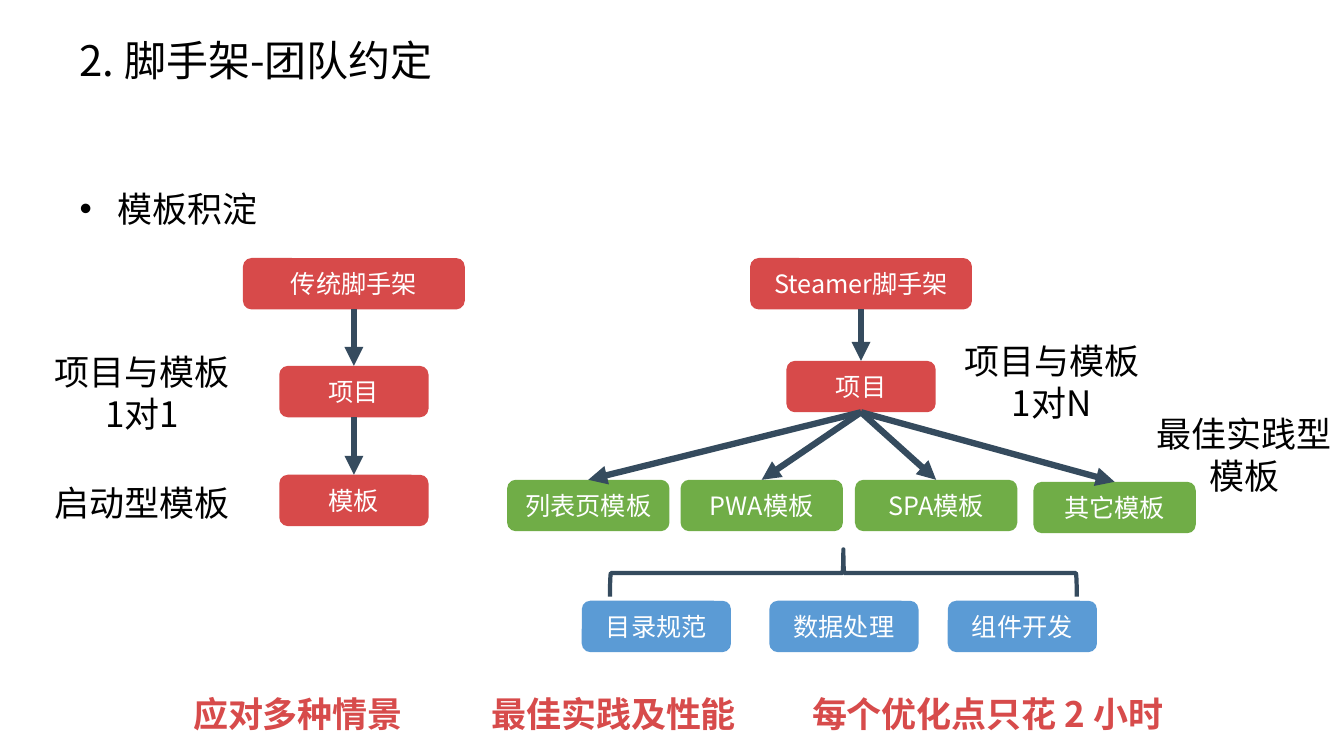
from typing import NamedTuple

from lxml.etree import SubElement
from pptx import Presentation
from pptx.dml.color import RGBColor
from pptx.enum.shapes import MSO_CONNECTOR as Conn, MSO_SHAPE as Geo
from pptx.enum.text import MSO_ANCHOR as Anchor, MSO_AUTO_SIZE as Fit, PP_ALIGN as Align
from pptx.oxml.ns import qn
from pptx.shapes.autoshape import Shape
from pptx.slide import Slide
from pptx.text.text import TextFrame
from pptx.util import Emu, Pt

FONT = "Noto Sans CJK SC"
RED, GREEN, BLUE = "D74A4A", "70AD47", "5B9BD5"
NAVY, BLACK, WHITE, ACCENT = "354B5E", "000000", "FFFFFF", "D74B4B"
BOX_H = 51


class Box(NamedTuple):
    key: str
    text: str
    left: int
    top: int
    width: int
    fill: str


class Link(NamedTuple):
    start: str
    end: str


class Label(NamedTuple):
    text: str
    left: int
    top: int
    width: int
    height: int
    color: str = BLACK
    bold: bool = False


BOXES = [
    Box("old", "传统脚手架", 241, 256, 220, RED),
    Box("old project", "项目", 277, 363, 148, RED),
    Box("old template", "模板", 277, 471, 148, RED),
    Box("new", "Steamer脚手架", 744, 256, 220, RED),
    Box("new project", "项目", 780, 358, 148, RED),
    Box("list", "列表页模板", 503, 476, 161, GREEN),
    Box("pwa", "PWA模板", 675, 476, 161, GREEN),
    Box("spa", "SPA模板", 848, 476, 161, GREEN),
    Box("other", "其它模板", 1025, 478, 161, GREEN),
    Box("folders", "目录规范", 577, 596, 148, BLUE),
    Box("data", "数据处理", 763, 596, 148, BLUE),
    Box("parts", "组件开发", 940, 596, 148, BLUE),
]
LINKS = [
    Link("old", "old project"),
    Link("old project", "old template"),
    Link("new", "new project"),
    *(Link("new project", end) for end in ("list", "pwa", "spa", "other")),
]
LABELS = [
    Label("项目与模板\n1对1", 25, 343, 232, 94),
    Label("启动型模板", 33, 473, 216, 52),
    Label("项目与模板\n1对N", 935, 332, 216, 94),
    Label("最佳实践型模板", 1126, 404, 216, 94),
    Label("应对多种情景", 141, 682, 309, 52, ACCENT, True),
    Label("最佳实践及性能", 454, 682, 309, 52, ACCENT, True),
    Label("每个优化点只花 2 小时", 766, 682, 427, 52, ACCENT, True),
]


def px(n: int) -> Emu:
    """Convert px, at 100 to the inch, to EMU."""
    return Emu(n * 9144)


def rgb(code: str) -> RGBColor:
    return RGBColor.from_string(code)


def write(frame: TextFrame, text: str, *, size: int = 25, color: str = BLACK,
          bold: bool = False, align: Align = Align.CENTER,
          anchor: Anchor = Anchor.TOP, fit: Fit = Fit.NONE) -> None:
    frame.word_wrap = True
    frame.auto_size = fit
    frame.vertical_anchor = anchor
    for i, line in enumerate(text.split("\n")):
        para = frame.add_paragraph() if i else frame.paragraphs[0]
        para.alignment = align
        run = para.add_run()
        run.text = line
        font = run.font
        font.size, font.bold, font.name = Pt(size), bold, FONT
        font.color.rgb = rgb(color)
        SubElement(font._element, qn("a:ea"), typeface=FONT)


def place(shape: Shape, left: int, top: int, width: int, height: int) -> None:
    shape.left, shape.top = px(left), px(top)
    shape.width, shape.height = px(width), px(height)


def add_heads(slide: Slide) -> None:
    """Fill the title and the bullet list."""
    title, body = slide.shapes.title, slide.placeholders[1]
    place(title, 69, 30, 862, 58)
    write(title.text_frame, "2. 脚手架-团队约定", size=30,
          align=Align.LEFT, anchor=Anchor.MIDDLE)

    place(body, 69, 160, 1176, 66)
    para = body.text_frame.paragraphs[0]
    props = para._p.get_or_add_pPr()
    props.set("marL", str(px(38)))
    props.set("indent", str(px(-38)))
    SubElement(props, qn("a:buFont"), typeface="Arial")
    SubElement(props, qn("a:buChar"), char="•")
    para.line_spacing = 1.5
    para.space_before = Pt(0)
    write(body.text_frame, "模板积淀", align=Align.LEFT)


def add_box(slide: Slide, box: Box) -> Shape:
    shape = slide.shapes.add_shape(Geo.ROUNDED_RECTANGLE, px(box.left), px(box.top),
                                   px(box.width), px(BOX_H))
    shape.shadow.inherit = False
    shape.fill.solid()
    shape.fill.fore_color.rgb = rgb(box.fill)
    shape.line.fill.background()
    write(shape.text_frame, box.text, size=18, color=WHITE, anchor=Anchor.MIDDLE)
    return shape


def add_link(slide: Slide, start: Shape, end: Shape) -> None:
    """Draw an arrow from the bottom of one box to the top of another."""
    link = slide.shapes.add_connector(Conn.STRAIGHT, 0, 0, 0, 0)
    link.begin_connect(start, 2)
    link.end_connect(end, 0)
    link.line.color.rgb = rgb(NAVY)
    link.line.width = Pt(4.5)
    SubElement(link.line._get_or_add_ln(), qn("a:tailEnd"), type="triangle")
    SubElement(link._element.spPr, qn("a:effectLst"))


def add_label(slide: Slide, label: Label) -> None:
    shape = slide.shapes.add_textbox(px(label.left), px(label.top),
                                     px(label.width), px(label.height))
    write(shape.text_frame, label.text, color=label.color, bold=label.bold,
          fit=Fit.SHAPE_TO_FIT_TEXT)


def add_brace(slide: Slide) -> None:
    brace = slide.shapes.add_shape(Geo.RIGHT_BRACE, px(813), px(337), px(47), px(463))
    brace.rotation = 270
    brace.adjustments[0] = 0.02
    brace.adjustments[1] = 0.5
    brace.shadow.inherit = False
    brace.fill.background()
    brace.line.color.rgb = rgb(NAVY)
    brace.line.width = Pt(3)


def main() -> None:
    deck = Presentation()
    deck.slide_width, deck.slide_height = px(1333), px(750)
    slide = deck.slides.add_slide(deck.slide_layouts[1])
    add_heads(slide)
    shapes = {box.key: add_box(slide, box) for box in BOXES}
    for link in LINKS:
        add_link(slide, shapes[link.start], shapes[link.end])
    add_brace(slide)
    for label in LABELS:
        add_label(slide, label)
    deck.save("out.pptx")


if __name__ == "__main__":
    main()
